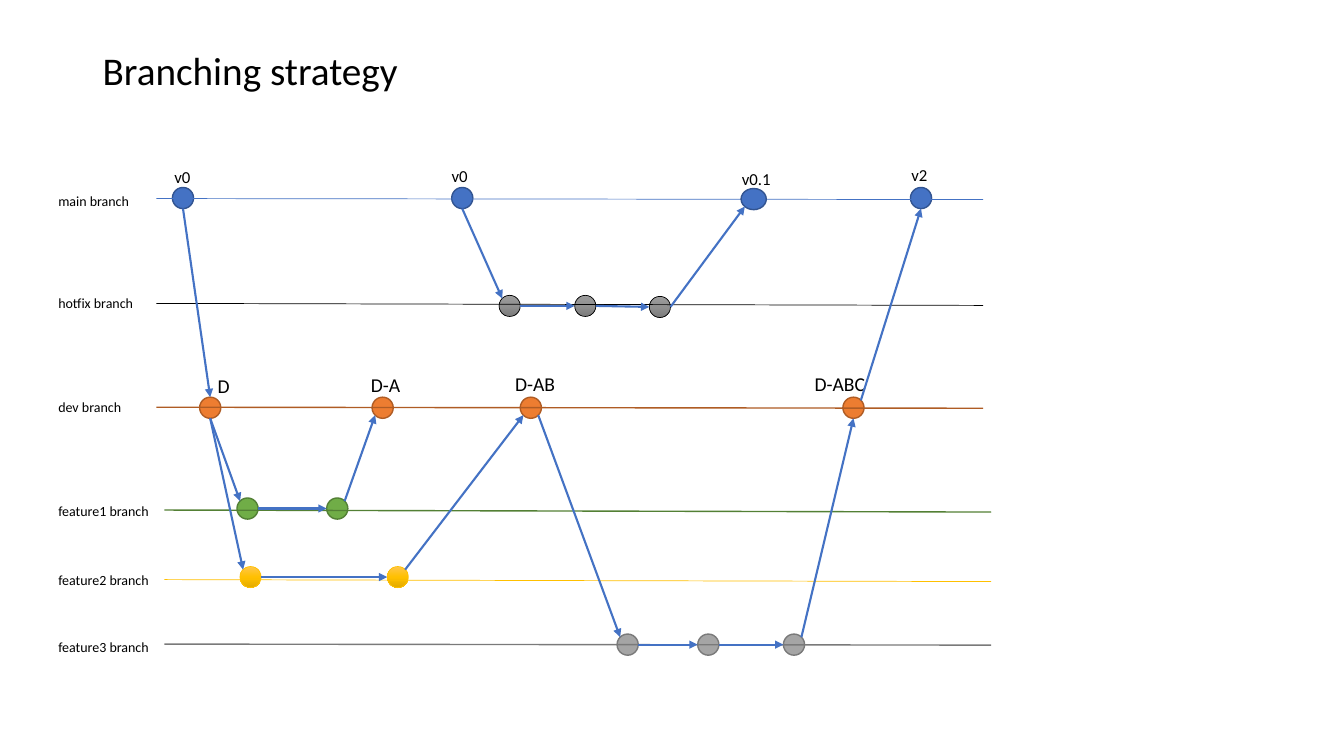
from collections import namedtuple
from copy import deepcopy
from lxml.etree import SubElement
from pptx import Presentation
from pptx.dml.color import RGBColor
from pptx.enum.shapes import MSO_CONNECTOR, MSO_SHAPE
from pptx.enum.text import MSO_ANCHOR, MSO_AUTO_SIZE
from pptx.oxml.ns import qn
from pptx.util import Emu, Pt

EMU_PER_PX = 9144
NODE_SIZE = 21
LANE_LENGTH = 820
BLUE = "4472C4"

Box = namedtuple("Box", "left top width height")
Lane = namedtuple("Lane", "label label_top label_width start y_start y_end line line_width "
                          "fills border border_width node_tops node_lefts")

GRAY_GRADIENT = ("9D9D9D", "909090", "7C7C7C")
GOLD_GRADIENT = ("FFC64B", "FFC000", "E3AB00")
LANES = {
    "main": Lane("main branch", 36, 107, 107, 47, 48, BLUE, 0.5,
                 (BLUE,), "325491", 1, (36, 36, 36), (123, 400, 855)),
    "hotfix": Lane("hotfix branch", 137, 107, 107, 151, 153, "000000", 0.5,
                   GRAY_GRADIENT, "000000", 0.5, (143, 143, 144), (447, 522, 596)),
    "dev": Lane("dev branch", 240, 88, 107, 254, 255, "AF5C24", 1,
                ("ED7D31",), "AF5C24", 1, (244,) * 4, (150, 321, 468, 788)),
    "feature1": Lane("feature1 branch", 344, 115, 115, 356, 358, "538035", 1,
                     ("70AD47",), "538035", 1, (344, 344), (187, 276)),
    "feature2": Lane("feature2 branch", 412, 115, 115, 425, 427, "FFC000", 0.5,
                     GOLD_GRADIENT, "FFC000", 0.5, (412, 412), (190, 336)),
    "feature3": Lane("feature3 branch", 479, 115, 115, 489, 490, "7A7A7A", 1,
                     ("A5A5A5",), "7A7A7A", 1, (479,) * 3, (564, 644, 729)),
}
HOTFIX_RELEASE = Box(687, 37, 25, NODE_SIZE)

VERSION_TAGS = [("v0", Box(115, 11, 39, 30)), ("v0", Box(390, 10, 62, 30)),
                ("v2", Box(846, 9, 39, 30)), ("v0.1", Box(678, 12, 62, 30))]
DEV_TAGS = [("D", Box(158, 216, 32, 34)), ("D-A", Box(310, 215, 50, 34)),
            ("D-AB", Box(453, 214, 60, 34)), ("D-ABC", Box(750, 214, 71, 34))]

SITES = {"top": (0.5, 0), "bottom": (0.5, 1), "left": (0, 0.5), "right": (1, 0.5),
         "top left": (0.15, 0.15), "top right": (0.85, 0.15),
         "bottom left": (0.15, 0.85), "bottom right": (0.85, 0.85)}
ARROWS = [
    (("main", 1), "bottom", ("hotfix", 0), "top left"),
    (("hotfix", 0), "right", ("hotfix", 1), "left"),
    (("hotfix", 1), "right", ("hotfix", 2), "left"),
    (("hotfix", 2), "right", ("release", 0), "bottom left"),
    (("main", 0), "bottom", ("dev", 0), "top"),
    (("dev", 0), "bottom", ("feature1", 0), "top left"),
    (("feature1", 1), "top right", ("dev", 1), "bottom left"),
    (("dev", 3), "top right", ("main", 2), "bottom"),
    (("dev", 0), "bottom", ("feature2", 0), "top left"),
    (("feature2", 0), "right", ("feature2", 1), "left"),
    (("feature2", 1), "top right", ("dev", 2), "bottom left"),
    (("dev", 2), "bottom right", ("feature3", 0), "top left"),
    (("feature1", 0), "right", ("feature1", 1), "left"),
    (("feature3", 0), "right", ("feature3", 1), "left"),
    (("feature3", 1), "right", ("feature3", 2), "left"),
    (("feature3", 2), "top right", ("dev", 3), "bottom"),
]


def px(length):
    return Emu(round(length * EMU_PER_PX))


def color(value):
    return RGBColor.from_string(value)


def set_attributes(target, values):
    for name, value in values.items():
        setattr(target, name, value)


def inside(box, part):
    return part._replace(left=box.left + part.left, top=box.top + part.top)


def add_text(slide, box, text, size, line_spacing=1.0, **frame_format):
    frame = slide.shapes.add_textbox(*map(px, box)).text_frame
    set_attributes(frame, {"word_wrap": True, "auto_size": MSO_AUTO_SIZE.SHAPE_TO_FIT_TEXT,
                           **frame_format})
    paragraph = frame.paragraphs[0]
    paragraph.line_spacing = line_spacing
    run = paragraph.add_run()
    run.text = text
    set_attributes(run.font, {"name": "Calibri", "size": Pt(size)})
    run.font.color.rgb = color("000000")


def add_node(slide, box, fills, border, border_width):
    shape = slide.shapes.add_shape(MSO_SHAPE.OVAL, *map(px, box))
    shape.shadow.inherit = False
    shape.line.color.rgb = color(border)
    shape.line.width = Pt(border_width)
    if len(fills) == 1:
        shape.fill.solid()
        shape.fill.fore_color.rgb = color(fills[0])
        return
    shape.fill.gradient()
    shape.fill.gradient_angle = 270
    stop_list = next(shape._element.iter(qn("a:gsLst")))
    stop_list.insert(1, deepcopy(stop_list[0]))
    for stop, position, value in zip(shape.fill.gradient_stops, (0, 0.5, 1), fills):
        stop.position = position
        stop.color.rgb = color(value)


def add_line(slide, start, end, line_color, width, arrow=False):
    connector = slide.shapes.add_connector(MSO_CONNECTOR.STRAIGHT, *map(px, start + end))
    connector.line.color.rgb = color(line_color)
    connector.line.width = Pt(width)
    if arrow:
        SubElement(connector.line._get_or_add_ln(), qn("a:tailEnd"), type="triangle")
    SubElement(connector._element.spPr, qn("a:effectLst"))


def site_point(box, site):
    across, down = SITES[site]
    return box.left + across * box.width, box.top + down * box.height


def draw_title(slide, box):
    add_text(slide, box, "Branching strategy", 28, 0.9,
             vertical_anchor=MSO_ANCHOR.MIDDLE, auto_size=MSO_AUTO_SIZE.NONE)


def draw_lanes(slide, box):
    nodes = {}
    for name, lane in LANES.items():
        label_box = Box(0, lane.label_top, lane.label_width, 27)
        add_text(slide, inside(box, label_box), lane.label, 10)
        for index, (left, top) in enumerate(zip(lane.node_lefts, lane.node_tops)):
            node = inside(box, Box(left, top, NODE_SIZE, NODE_SIZE))
            add_node(slide, node, lane.fills, lane.border, lane.border_width)
            nodes[name, index] = node
    for lane in LANES.values():
        left = box.left + lane.start
        add_line(slide, (left, box.top + lane.y_start),
                 (left + LANE_LENGTH, box.top + lane.y_end), lane.line, lane.line_width)
    release = inside(box, HOTFIX_RELEASE)
    main = LANES["main"]
    add_node(slide, release, main.fills, main.border, main.border_width)
    nodes["release", 0] = release
    return nodes


def draw_tags(slide, box):
    for text, part in VERSION_TAGS:
        add_text(slide, inside(box, part), text, 12)
    for text, part in DEV_TAGS:
        add_text(slide, inside(box, part), text, 14, word_wrap=False)


def draw_diagram(slide, box):
    nodes = draw_lanes(slide, box)
    draw_tags(slide, box)
    for source, source_site, target, target_site in ARROWS:
        add_line(slide, site_point(nodes[source], source_site),
                 site_point(nodes[target], target_site), BLUE, 1.5, arrow=True)


def main():
    presentation = Presentation()
    set_attributes(presentation, {"slide_width": px(1333), "slide_height": px(750)})
    slide = presentation.slides.add_slide(presentation.slide_layouts[6])
    draw_title(slide, Box(92, 40, 1150, 65))
    draw_diagram(slide, Box(48, 150, 935, 506))
    presentation.save("out.pptx")


if __name__ == "__main__":
    main()
